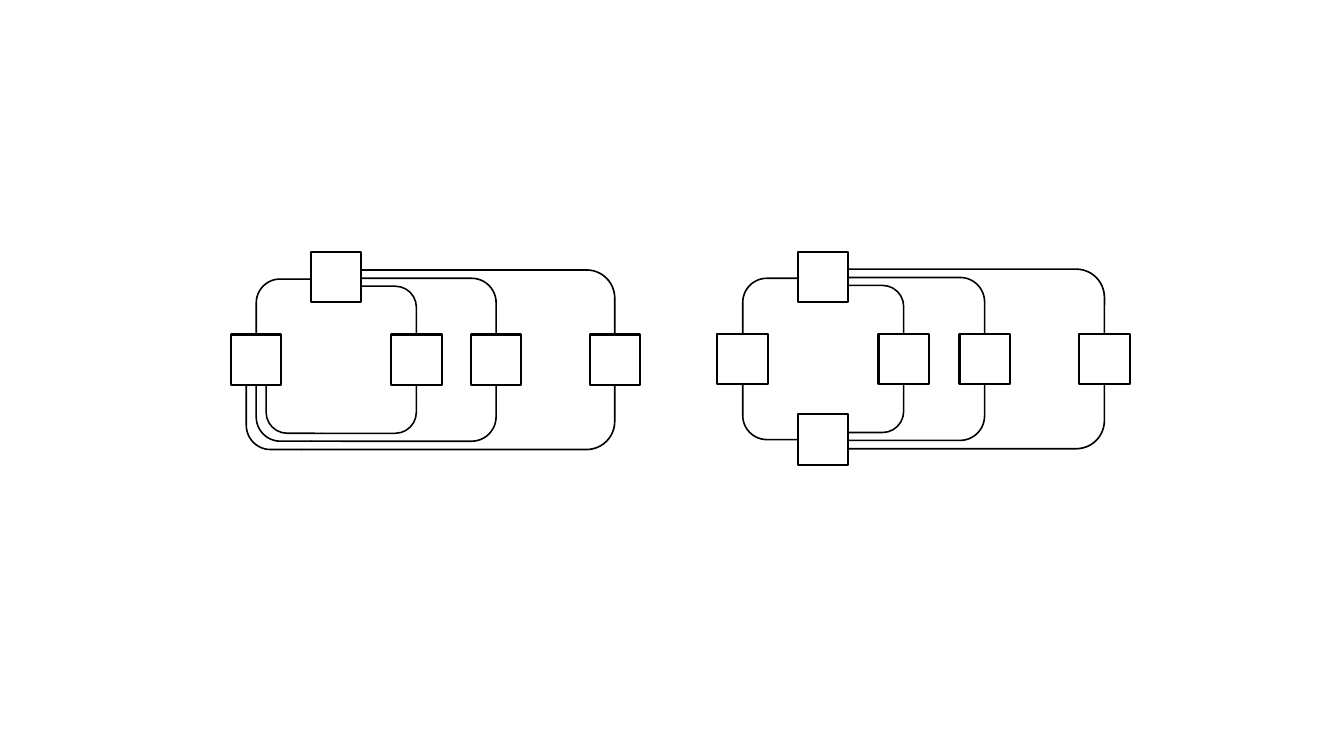
from pptx import Presentation
from pptx.dml.color import RGBColor
from pptx.enum import shapes
from pptx.util import Cm, Pt

BLACK = RGBColor(0, 0, 0)
WHITE = RGBColor(255, 255, 255)

NODE = 1.27
HALF = NODE / 2
LINK_DEPTHS = (1.22, 1.42, 1.63)
SIDE_DEPTH = 1.4
TOP_LEFT, TOP_RIGHT, BOTTOM_RIGHT, BOTTOM_LEFT = 0, 90, 180, 270


def add_node(slide, left, top, fill=None):
    node = slide.shapes.add_shape(
        shapes.MSO_SHAPE.RECTANGLE, Cm(left), Cm(top), Cm(NODE), Cm(NODE))
    node.shadow.inherit = False
    if fill is None:
        node.fill.background()
    else:
        node.fill.solid()
        node.fill.fore_color.rgb = fill
    node.line.color.rgb = BLACK
    node.line.width = Pt(1.5)


def add_bend(slide, left, top, right, bottom, corner):
    width, height = right - left, bottom - top
    if corner in (TOP_RIGHT, BOTTOM_LEFT):
        shift = (width - height) / 2
        left, top = left + shift, top - shift
        width, height = height, width
    bend = slide.shapes.add_shape(
        shapes.MSO_SHAPE.BENT_ARROW, Cm(left), Cm(top), Cm(width), Cm(height))
    bend.rotation = corner
    for index, value in enumerate((0.006, 0.002, 0, 0.438)):
        bend.adjustments[index] = value
    bend.shadow.inherit = False
    bend.fill.solid()
    bend.fill.fore_color.rgb = BLACK
    bend.line.color.rgb = BLACK
    bend.line.width = Pt(1)


def draw_upper_half(slide, left, top, hub, row, columns):
    hub_left, row_top = left + hub, top + row
    for column in columns:
        add_node(slide, left + column, row_top)
    add_node(slide, hub_left, top)
    add_bend(slide, left + HALF, row_top - SIDE_DEPTH, hub_left, row_top, TOP_LEFT)
    for column, depth in zip(columns[1:], LINK_DEPTHS):
        add_bend(slide, hub_left + NODE, row_top - depth,
                 left + column + HALF, row_top, TOP_RIGHT)


def draw_single_hub(slide, left, top):
    hub, row, columns = 2.01, 2.08, (0, 4.04, 6.05, 9.04)
    draw_upper_half(slide, left, top, hub, row, columns)
    row_bottom = top + row + NODE
    for column, depth, offset in zip(columns[1:], LINK_DEPTHS, (0.25, 0, -0.25)):
        start = left + HALF + offset
        joint = start + SIDE_DEPTH
        add_bend(slide, start, row_bottom, joint, row_bottom + depth, BOTTOM_LEFT)
        add_bend(slide, joint, row_bottom, left + column + HALF,
                 row_bottom + depth, BOTTOM_RIGHT)


def draw_double_hub(slide, left, top):
    hub, row, columns = 2.03, 2.06, (0, 4.06, 6.1, 9.12)
    draw_upper_half(slide, left, top, hub, row, columns)
    hub_left, row_bottom = left + hub, top + row + NODE
    add_node(slide, hub_left, top + 4.09, WHITE)
    add_bend(slide, left + HALF, row_bottom, hub_left,
             row_bottom + SIDE_DEPTH, BOTTOM_LEFT)
    for column, depth in zip(columns[1:], LINK_DEPTHS):
        add_bend(slide, hub_left + NODE, row_bottom, left + column + HALF,
                 row_bottom + depth, BOTTOM_RIGHT)


def main():
    deck = Presentation()
    deck.slide_width, deck.slide_height = Cm(33.87), Cm(19.05)
    slide = deck.slides.add_slide(deck.slide_layouts[6])
    draw_single_hub(slide, 5.82, 6.35)
    draw_double_hub(slide, 18.08, 6.35)
    deck.save("out.pptx")


if __name__ == "__main__":
    main()
